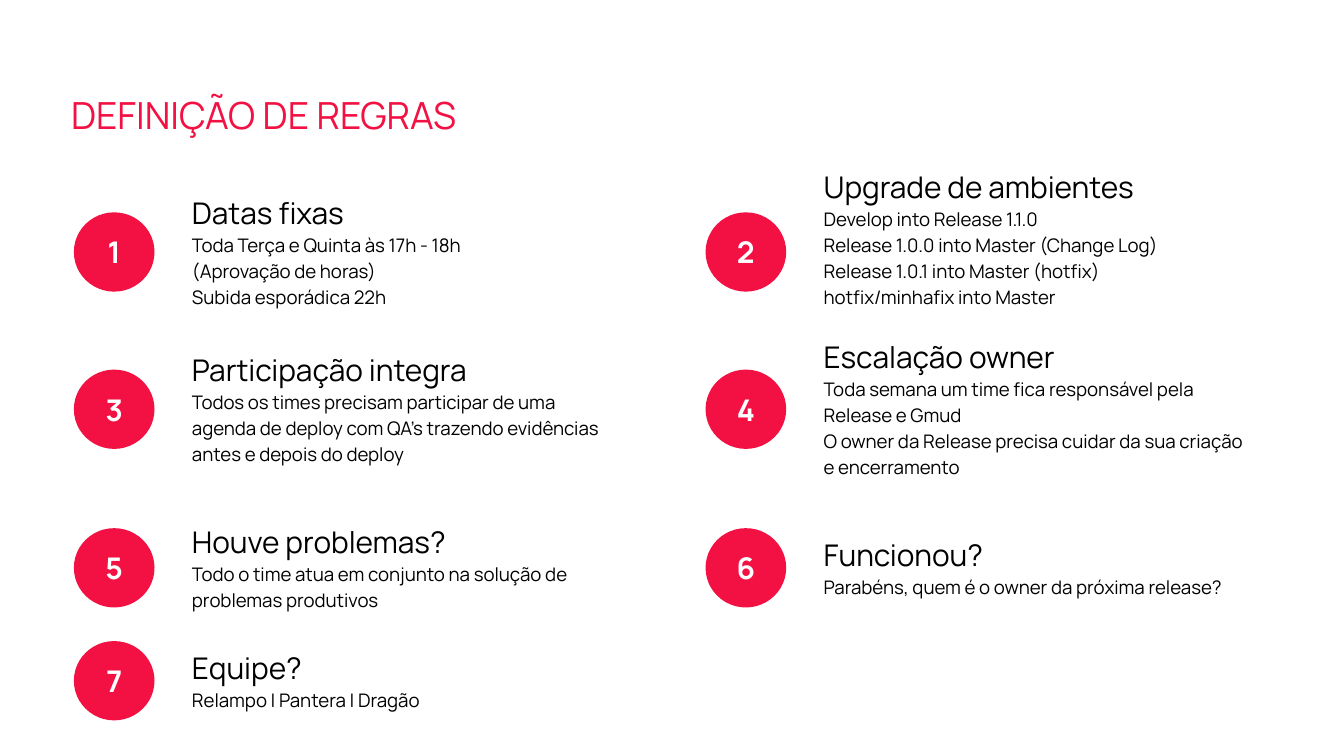
from pptx import Presentation
from pptx.dml.color import RGBColor
from pptx.enum import shapes, text
from pptx.util import Inches, Pt

FONT = "Manrope"
RED, BLACK, WHITE = "F31143", "000000", "FFFFFF"
COLUMNS = (0.55, 5.25)
ROWS = (1.27, 2.44, 3.62, 4.46)
RULE_W, RULE_H = 4.17, 1.16

# A "\v" is a line break inside a paragraph.
RULES = [
    ("Datas fixas", ["Toda Terça e Quinta às 17h - 18h",
                     "(Aprovação de horas)\vSubida esporádica 22h"]),
    ("Upgrade de ambientes", ["Develop into Release 1.1.0",
                              "Release 1.0.0 into Master (Change Log)\v"
                              "Release 1.0.1 into Master (hotfix)\v"
                              "hotfix/minhafix into Master"]),
    ("Participação integra", ["Todos os times precisam participar de uma agenda de deploy "
                              "com QA’s trazendo evidências antes e depois do deploy"]),
    ("Escalação owner", ["Toda semana um time fica responsável pela Release e Gmud",
                         "O owner da Release precisa cuidar da sua criação e encerramento"]),
    ("Houve problemas?", ["Todo o time atua em conjunto na solução de problemas produtivos"]),
    ("Funcionou?", ["Parabéns, quem é o owner da próxima release?"]),
    ("Equipe?", ["Relampo | Pantera | Dragão"]),
]
RAISED = "Upgrade de ambientes"


def rgb(color):
    return RGBColor.from_string(color)


def style(p, size, color, bold=False):
    for r in p.runs:
        r.font.name = FONT
        r.font.size = Pt(size)
        r.font.bold = bold
        r.font.color.rgb = rgb(color)


def prepare_frame(sp, top=0.1, bottom=0.1):
    """Set insets, wrapping and middle anchor; return the text frame."""
    tf = sp.text_frame
    tf.word_wrap = True
    tf.vertical_anchor = text.MSO_ANCHOR.MIDDLE
    tf.margin_left = tf.margin_right = Inches(0.1)
    tf.margin_top, tf.margin_bottom = Inches(top), Inches(bottom)
    return tf


def add_title(s, x, y, w, h):
    sp = s.shapes.add_textbox(Inches(x), Inches(y), Inches(w), Inches(h))
    tf = prepare_frame(sp)
    tf.text = "DEFINIÇÃO DE REGRAS"
    style(tf.paragraphs[0], 20, RED)


def add_badge(s, x, y, w, h, number):
    sp = s.shapes.add_shape(shapes.MSO_SHAPE.OVAL,
                            Inches(x), Inches(y), Inches(w), Inches(h))
    sp.shadow.inherit = False
    sp.fill.solid()
    sp.fill.fore_color.rgb = rgb(RED)
    sp.line.fill.background()
    tf = prepare_frame(sp)
    tf.text = str(number)
    p = tf.paragraphs[0]
    p.alignment = text.PP_ALIGN.CENTER
    style(p, 16, WHITE, bold=True)


def add_rule(s, x, y, w, h, number, heading, paragraphs):
    add_badge(s, x, y + 0.31, 0.6, 0.59, number)
    sp = s.shapes.add_textbox(Inches(x + 0.78), Inches(y), Inches(w - 0.78), Inches(h))
    # The raised rule sits higher in its box, clear of the row below.
    tf = prepare_frame(sp, 0, 0.19) if heading == RAISED else prepare_frame(sp)
    tf.text = "\n".join([heading, *paragraphs])
    for i, p in enumerate(tf.paragraphs):
        p.line_spacing = 1.15
        style(p, 10 if i else 16, BLACK)


def main():
    prs = Presentation()
    prs.slide_width = Inches(10)
    prs.slide_height = prs.slide_width * 9 // 16
    s = prs.slides.add_slide(prs.slide_layouts[6])
    add_title(s, 0.43, 0.57, 3.41, 0.56)
    for i, (heading, paragraphs) in enumerate(RULES):
        row, column = divmod(i, 2)
        add_rule(s, COLUMNS[column], ROWS[row], RULE_W, RULE_H, i + 1, heading, paragraphs)
    prs.save("out.pptx")


if __name__ == "__main__":
    main()
